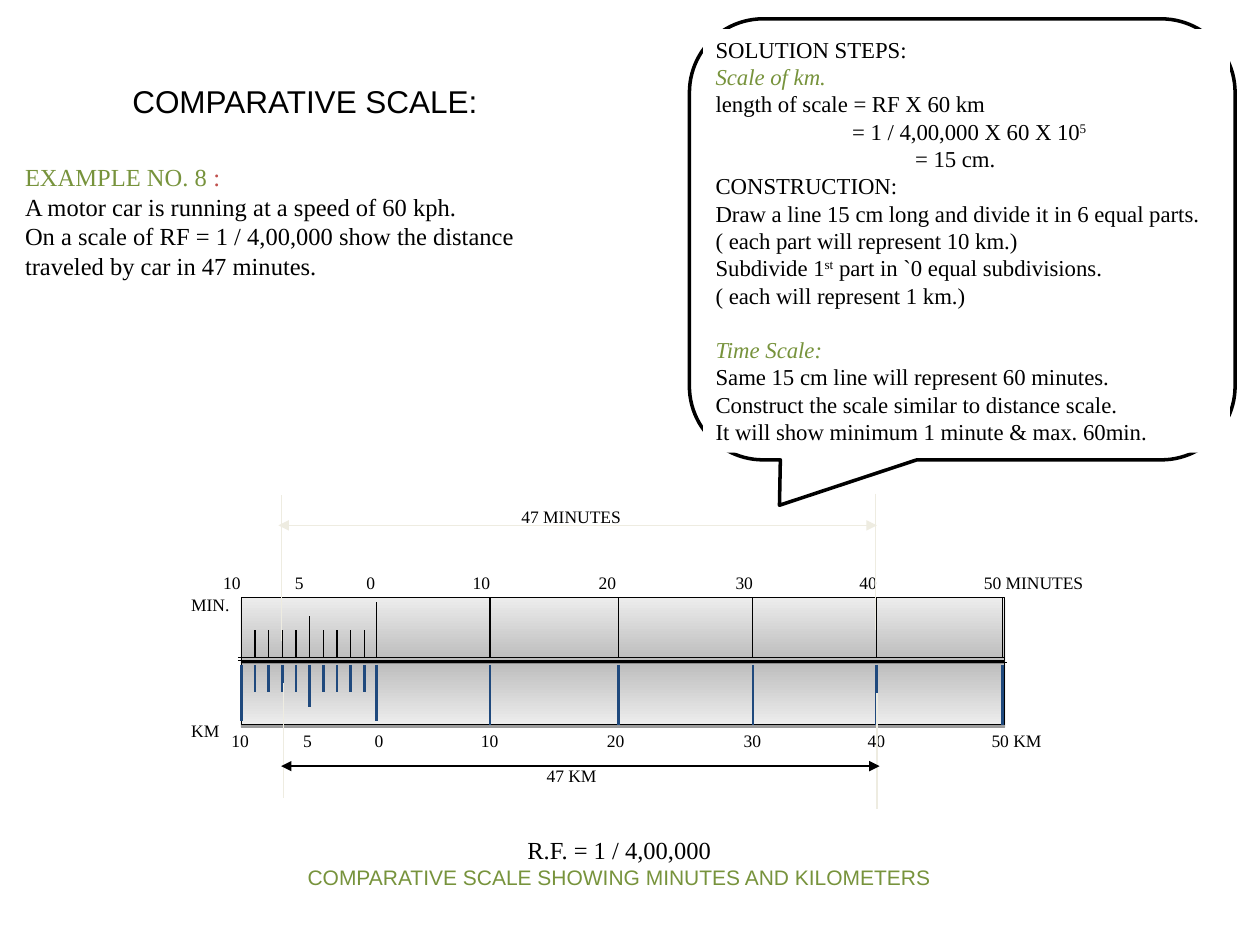
from lxml import etree
from pptx import Presentation
from pptx.dml.color import RGBColor
from pptx.enum.shapes import MSO_CONNECTOR, MSO_SHAPE
from pptx.enum.text import MSO_ANCHOR, MSO_AUTO_SIZE, PP_ALIGN
from pptx.oxml.ns import qn
from pptx.util import Pt

STRAIGHT = MSO_CONNECTOR.STRAIGHT
RECTANGLE = MSO_SHAPE.RECTANGLE
CALLOUT = MSO_SHAPE.ROUNDED_RECTANGULAR_CALLOUT
TOP = MSO_ANCHOR.TOP
NO_AUTOSIZE = MSO_AUTO_SIZE.NONE
LEFT, CENTER, JUSTIFY = PP_ALIGN.LEFT, PP_ALIGN.CENTER, PP_ALIGN.JUSTIFY

COLORS = {
    "black": "000000", "white": "FFFFFF", "green": "77933C", "red": "C0504D",
    "blue": "1F497D", "pale": "EEECE1", "dark": "BCBCBC", "light": "EDEDED",
}
SERIF, SANS = "Times New Roman", "Arial"
BODY = {"size": 14, "name": SERIF}
STEP = {"size": 13, "name": SERIF}
LABEL = {"size": 10, "name": SERIF}
HEADING = {"color": "green", "italic": True}
SUPER = {"baseline": "30000"}

TITLE = [([("COMPARATIVE SCALE:", {"size": 18, "name": SANS})], {"alignment": LEFT})]
EXAMPLE = [
    ([("EXAMPLE NO. 8 ", {"color": "green"}), (":", {"color": "red"})], {"alignment": JUSTIFY}),
    ([("A motor car is running at a speed of 60 kph.", {})], {"alignment": JUSTIFY}),
    ([("On a scale of RF = 1 / 4,00,000 show the distance", {})], {"alignment": JUSTIFY}),
    ([("traveled by car in 47 minutes.", {})], {"alignment": JUSTIFY}),
]
STEPS = [
    ([("SOLUTION STEPS:", {})], {}),
    ([("Scale of km.", HEADING)], {}),
    ([("length of scale = RF X 60 km", {})], {}),
    ([("= 1 / 4,00,000 X 60 X 10", {}), ("5", SUPER)], {"margin": 78}),
    ([("= 15 cm.", {})], {"margin": 114}),
    ([("CONSTRUCTION:", {})], {}),
    ([("Draw a line 15 cm long and divide it in 6 equal parts.", {})], {}),
    ([("( each part will represent 10 km.)", {})], {}),
    ([("Subdivide 1", {}), ("st", SUPER), (" part in `0 equal subdivisions.", {})], {}),
    ([("( each will represent 1 km.)", {})], {}),
    ([("Time Scale:", HEADING)], {"space_before": Pt(15.6)}),
    ([("Same 15 cm line will represent 60 minutes.", {})], {}),
    ([("Construct the scale similar to distance scale.", {})], {}),
    ([("It will show minimum 1 minute & max. 60min.", {})], {}),
]
CAPTION = [
    ([("R.F. = 1 / 4,00,000", {})], {"alignment": CENTER}),
    ([("COMPARATIVE SCALE SHOWING MINUTES AND KILOMETERS",
       {"size": 12, "name": SANS, "color": "green"})], {"alignment": CENTER}),
]

SCALE_LEFT, SCALE_WIDTH, SCALE_HEIGHT = 138, 436, 36
SUBDIVISION, SUBDIVISIONS = 7.8, 10
MAJOR_TICKS = [215.3, 280, 353.3, 430.2, 501, 572.8]
DIVISION_LABELS = [("10", 120.4), ("5", 161.4), ("0", 202.3), ("10", 263),
                   ("20", 335), ("30", 413.2), ("40", 484)]
MINUTES = {
    "top": 341.3, "angle": 90, "color": "black", "weight": 0.75, "base": 376,
    "short": 360, "middle": 352, "first": 360, "zero": 344, "major": 341.3,
    "label_top": 323.2, "label_shift": 0, "end": ("50 MINUTES", 555.1, 71.3),
}
KILOMETERS = {
    "top": 378, "angle": 270, "color": "blue", "weight": 1.5, "base": 380,
    "short": 395.3, "middle": 404, "first": 412, "zero": 412, "major": 414,
    "label_top": 413.5, "label_shift": 4.7, "end": ("50 KM", 559.5, 43),
}
UNIT_LABELS = [("MIN.", 102.2, 336.2, 36), ("KM", 102.2, 408.2, 30.2)]
SPAN_GUIDES = [
    (160.6, 283, 366.5, 0.25), (500.4, 282.2, 360, 0.25),
    (162, 390.2, 455.8, 0.75), (501.1, 396, 462.2, 0.75),
]
SPANS = [
    ("47 MINUTES", 159.1, 501.1, 300.2, "pale", (290.9, 285.8, 71.3)),
    ("47 KM", 160.6, 502.6, 437.8, "black", (305.3, 433.4, 42.5)),
]
DATUM_LINES = [(136, 375.8), (136, 377.3), (137.5, 378.7)]


def rgb(name):
    return RGBColor.from_string(COLORS[name])


def apply_format(target, values):
    for key, value in values.items():
        setattr(target, key, value)


def write(frame, paragraphs, base, wrap=False):
    apply_format(frame, {"word_wrap": wrap, "auto_size": NO_AUTOSIZE, "vertical_anchor": TOP})
    for index, (runs, layout) in enumerate(paragraphs):
        paragraph = frame.paragraphs[0] if index == 0 else frame.add_paragraph()
        layout = dict(layout)
        margin = layout.pop("margin", 0)
        if margin:
            paragraph._p.get_or_add_pPr().set("marL", str(Pt(margin)))
        apply_format(paragraph, layout)
        for text, style in runs:
            style = {"color": "black", **base, **style}
            run = paragraph.add_run()
            run.text = text
            run.font.color.rgb = rgb(style.pop("color"))
            baseline = style.pop("baseline", None)
            if baseline:
                run._r.get_or_add_rPr().set("baseline", baseline)
            apply_format(run.font, {**style, "size": Pt(style["size"])})


def add_text(slide, box, paragraphs, base):
    write(slide.shapes.add_textbox(*map(Pt, box)).text_frame, paragraphs, base)


def add_label(slide, text, left, top, width):
    add_text(slide, (left, top, width, 19.4), [([(text, {})], {})], LABEL)


def add_line(slide, start, end, color, weight, arrows=False):
    connector = slide.shapes.add_connector(STRAIGHT, *map(Pt, (*start, *end)))
    connector.line.width = Pt(weight)
    connector.line.color.rgb = rgb(color)
    properties = connector.element.spPr
    if arrows:
        outline = properties.find(qn("a:ln"))
        for tip in ("a:headEnd", "a:tailEnd"):
            etree.SubElement(outline, qn(tip), type="triangle")
    etree.SubElement(properties, qn("a:effectLst"))


def add_block(slide, kind, box, line_weight=None):
    block = slide.shapes.add_shape(kind, *map(Pt, box))
    block.shadow.inherit = False
    block.fill.solid()
    block.fill.fore_color.rgb = rgb("white")
    if line_weight:
        block.line.color.rgb = rgb("black")
        block.line.width = Pt(line_weight)
    else:
        block.line.fill.background()
    return block


def add_scale(slide, scale):
    bar = add_block(slide, RECTANGLE, (SCALE_LEFT, scale["top"], SCALE_WIDTH, SCALE_HEIGHT), 0.75)
    bar.fill.gradient()
    bar.fill.gradient_angle = scale["angle"]
    for stop, color in zip(bar.fill.gradient_stops, ("dark", "light")):
        stop.color.rgb = rgb(color)
    effects = bar.element.spPr.find(qn("a:effectLst"))
    shadow = etree.SubElement(effects, qn("a:outerShdw"), dist=str(Pt(1.6)),
                              dir="5400000", rotWithShape="0")
    shade = etree.SubElement(shadow, qn("a:srgbClr"), val=COLORS["black"])
    etree.SubElement(shade, qn("a:alpha"), val="38000")

    kinds = {0: "first", SUBDIVISIONS // 2: "middle"}
    ticks = [(SCALE_LEFT + SUBDIVISION * i, scale[kinds.get(i, "short")])
             for i in range(SUBDIVISIONS)]
    ticks += [(x, scale["major" if i else "zero"]) for i, x in enumerate(MAJOR_TICKS)]
    for x, tip in ticks:
        add_line(slide, (x, scale["base"]), (x, tip), scale["color"], scale["weight"])

    for text, left in DIVISION_LABELS:
        add_label(slide, text, left + scale["label_shift"], scale["label_top"], 14.4 + 5 * len(text))
    text, left, width = scale["end"]
    add_label(slide, text, left, scale["label_top"], width)


def main():
    deck = Presentation()
    deck.slide_width, deck.slide_height = Pt(720), Pt(540)
    slide = deck.slides.add_slide(deck.slide_layouts[5])
    title = slide.shapes.title
    apply_format(title, {"left": Pt(68.4), "top": Pt(43.2), "width": Pt(224), "height": Pt(29)})
    write(title.text_frame, TITLE, {})

    add_text(slide, (7.2, 89.3, 301, 75), EXAMPLE, BODY)
    callout = add_block(slide, CALLOUT, (394, 10.8, 311.8, 252), 2)
    for index, value in enumerate((-0.335, 0.603, 0.167)):
        callout.adjustments[index] = value
    panel = add_block(slide, RECTANGLE, (401.8, 16.6, 301, 242))
    write(panel.text_frame, [(runs, {"alignment": LEFT, **layout}) for runs, layout in STEPS],
          STEP, wrap=True)

    for scale in (KILOMETERS, MINUTES):
        add_scale(slide, scale)
    for label in UNIT_LABELS:
        add_label(slide, *label)
    for x, top, bottom, weight in SPAN_GUIDES:
        add_line(slide, (x, top), (x, bottom), "pale", weight)
    for text, start, end, y, color, label_box in SPANS:
        add_line(slide, (start, y), (end, y), color, 0.75, arrows=True)
        add_label(slide, text, *label_box)
    add_text(slide, (165.6, 473.8, 376.6, 39), CAPTION, BODY)
    for left, y in DATUM_LINES:
        add_line(slide, (left, y), (left + 438, y), "black", 0.75)
    deck.save("out.pptx")


if __name__ == "__main__":
    main()
